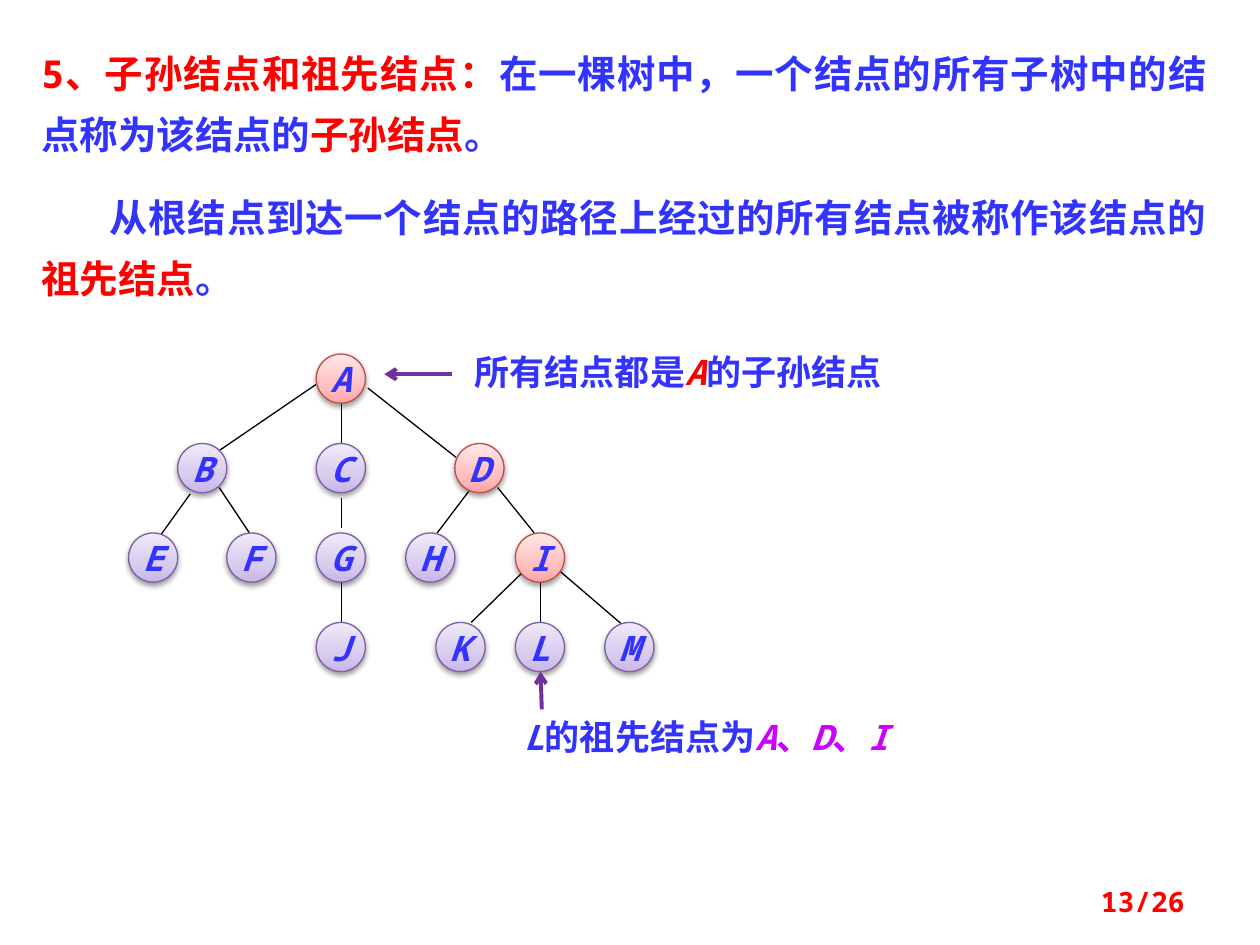
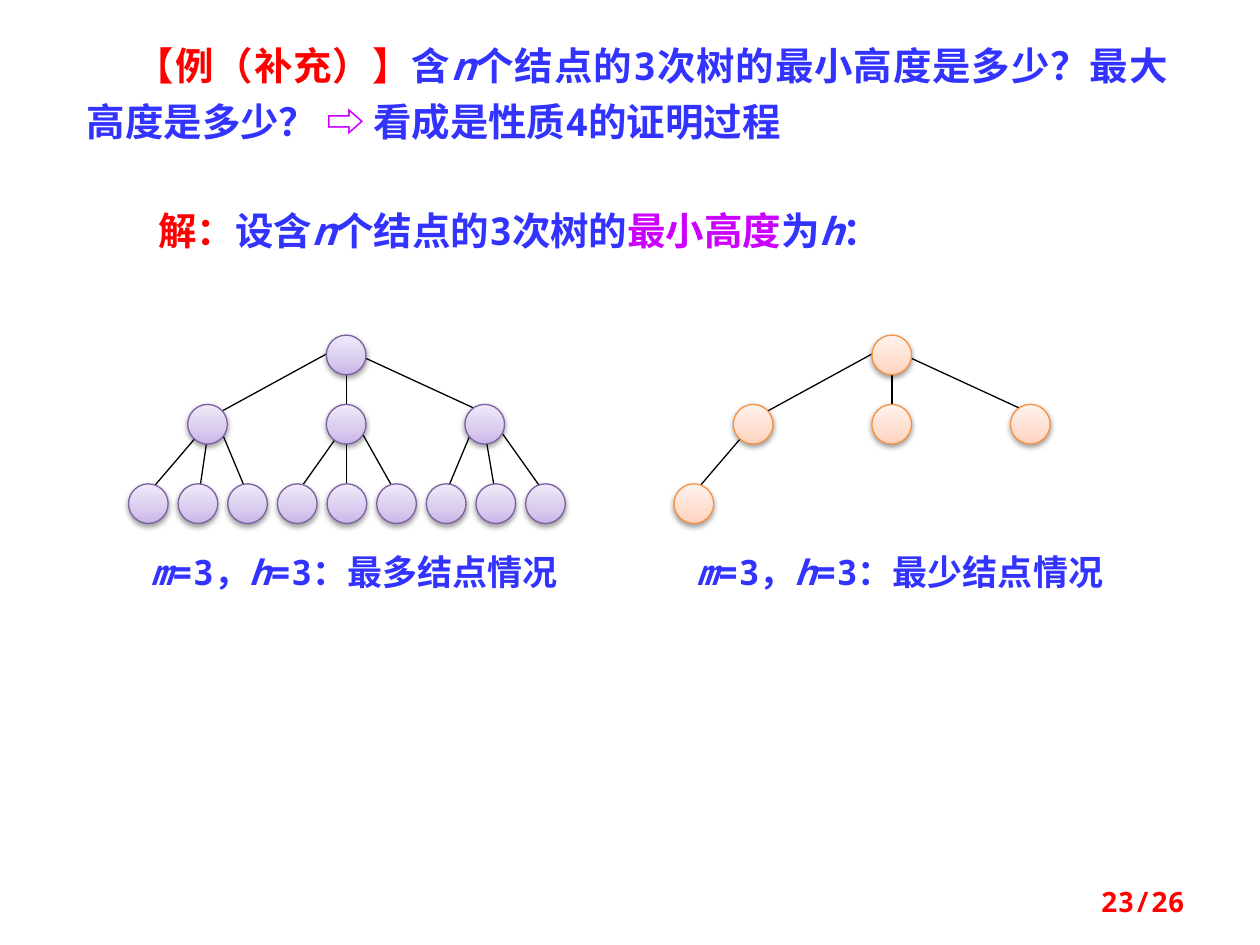
"""Build two slides on tree terms: descendants and ancestors, and the height of 3-ary trees."""
import pptx
import pptx.dml.color
import pptx.enum.shapes
import pptx.enum.text
import pptx.oxml
import pptx.oxml.ns
import pptx.util

Inches, Pt = pptx.util.Inches, pptx.util.Pt
RGB = pptx.dml.color.RGBColor
Align = pptx.enum.text.PP_ALIGN
Anchor = pptx.enum.text.MSO_ANCHOR
Kind = pptx.enum.shapes.MSO_SHAPE
NS = pptx.oxml.ns.nsdecls("a")

FONT = "Noto Sans Mono"
RED = RGB(0xFF, 0x00, 0x00)
BLUE = RGB(0x33, 0x33, 0xFF)
PINK = RGB(0xCC, 0x00, 0xFF)
PLUM = RGB(0x70, 0x30, 0xA0)
BLACK = RGB(0x00, 0x00, 0x00)
LILAC = (RGB(0x7D, 0x60, 0xA0), "C9B5E8", "D8CBEE", "F0EAF9")
ROSE = (RGB(0xBF, 0x4C, 0x48), "FFA6A5", "FFC0BF", "FFE7E7")
PEACH = (RGB(0xF6, 0x92, 0x40), "FFD2BD", "FFDED0", "FFF2ED")


def write(frame, paras, size, align=Align.LEFT, lead=None, indents=(0, 0)):
    """Fill a text frame; each paragraph is a list of (text, colour, italic) runs."""
    for i, runs in enumerate(paras):
        para = frame.add_paragraph() if i else frame.paragraphs[0]
        para.alignment = align
        if lead:
            para.line_spacing = lead
        if i:
            para.space_before = Pt(12)
        if indents[i]:
            para._p.get_or_add_pPr().set("indent", str(Inches(indents[i])))
        para.font.name = FONT
        para.font.size = Pt(size)
        para.font.bold = True
        for text, color, slant in runs:
            run = para.add_run()
            run.text = text
            run.font.color.rgb = color
            run.font.italic = slant


def link(slide, ends, color=BLACK, width=0.75, arrow=False):
    """Draw a straight line between two points, with an arrowhead if asked."""
    line = slide.shapes.add_connector(
        pptx.enum.shapes.MSO_CONNECTOR.STRAIGHT, *[Inches(v) for v in ends])
    line.line.color.rgb = color
    line.line.width = Pt(width)
    if arrow:
        line.line._get_or_add_ln().append(
            pptx.oxml.parse_xml(f'<a:tailEnd {NS} type="arrow"/>'))
    line._element.spPr.append(pptx.oxml.parse_xml(f"<a:effectLst {NS}/>"))


deck = pptx.Presentation()
deck.slide_width, deck.slide_height = Inches(10), Inches(7.5)
kin = deck.slides.add_slide(deck.slide_layouts[6])
high = deck.slides.add_slide(deck.slide_layouts[6])

kin_edges = [
    (2.51, 3.05, 1.72, 3.59), (2.71, 3.21, 2.71, 3.52), (2.92, 3.08, 3.62, 3.63),
    (1.51, 3.92, 1.28, 4.24), (1.74, 3.87, 1.98, 4.23), (2.71, 3.95, 2.71, 4.19),
    (3.72, 3.9, 3.47, 4.23), (3.95, 3.87, 4.24, 4.23), (2.71, 4.62, 2.71, 4.94),
    (4.14, 4.55, 3.74, 4.94), (4.29, 4.62, 4.29, 4.94), (4.44, 4.53, 4.93, 4.95)]
for ends in kin_edges:
    link(kin, ends)

rows = [
    [("A", 2.51)],
    [("B", 1.41), ("C", 2.51), ("D", 3.61)],
    [("E", 1.02), ("F", 1.8), ("G", 2.51), ("H", 3.22), ("I", 4.09)],
    [("J", 2.51), ("K", 3.46), ("L", 4.09), ("M", 4.8)]]
nodes = [(kin, name, x, 2.81 + 0.71 * level, 0.39, ROSE if name in "ADI" else LILAC)
         for level, row in enumerate(rows) for name, x in row]

high_edges = [
    (2.59, 2.81, 1.73, 3.28), (2.75, 2.89, 2.75, 3.28), (2.83, 2.81, 3.85, 3.28),
    (1.65, 3.36, 1.18, 3.91), (1.65, 3.44, 1.57, 3.99), (1.73, 3.36, 1.96, 3.91),
    (2.75, 3.36, 2.36, 3.91), (2.75, 3.44, 2.75, 3.84), (2.83, 3.36, 3.14, 3.91),
    (3.77, 3.36, 3.54, 3.91), (3.85, 3.44, 3.93, 3.91), (3.93, 3.36, 4.32, 3.91)]
spots = [(2.59, 2.66)]
spots += [(1.49 + 1.1 * i, 3.21) for i in range(3)]
spots += [(1.02 + 0.394 * i, 3.84) for i in range(9)]
for shift, tint, count in ((0, LILAC, 13), (4.33, PEACH, 5)):
    for x1, y1, x2, y2 in high_edges[:count - 1]:
        link(high, (x1 + shift, y1, x2 + shift, y2))
    nodes += [(high, "", x + shift, y, 0.315, tint) for x, y in spots[:count]]

for slide, name, x, y, size, (edge, *tones) in nodes:
    node = slide.shapes.add_shape(
        Kind.OVAL, Inches(x), Inches(y), Inches(size), Inches(size))
    node.line.color.rgb = edge
    node.line.width = Pt(0.75)
    stops = "".join(f'<a:gs pos="{pos}"><a:srgbClr val="{tone}"/></a:gs>'
                    for pos, tone in zip((0, 35000, 100000), tones))
    node._element.spPr.find(pptx.oxml.ns.qn("a:ln")).addprevious(pptx.oxml.parse_xml(
        f'<a:gradFill {NS} rotWithShape="1"><a:gsLst>{stops}</a:gsLst>'
        '<a:lin ang="16200000" scaled="1"/></a:gradFill>'))
    node._element.spPr.append(pptx.oxml.parse_xml(
        f'<a:effectLst {NS}><a:outerShdw blurRad="40000" dist="20000" dir="5400000" '
        'rotWithShape="0"><a:srgbClr val="000000"><a:alpha val="38000"/></a:srgbClr>'
        '</a:outerShdw></a:effectLst>'))
    if name:
        node.text_frame.word_wrap = False
        node.text_frame.vertical_anchor = Anchor.MIDDLE
        write(node.text_frame, [[(name, BLUE, True)]], 20, Align.CENTER)

link(kin, (3.59, 2.97, 3.05, 2.97), PLUM, 2.25, True)
link(kin, (4.3, 5.63, 4.29, 5.33), PLUM, 2.25, True)

terms = [
    [("5、子孙结点和祖先结点：", RED, False),
     ("在一棵树中，一个结点的所有子树中的结点称为该结点的", BLUE, False),
     ("子孙结点", RED, False), ("。", BLUE, False)],
    [("从根结点到达一个结点的路径上经过的所有结点被称作该结点的", BLUE, False),
     ("祖先结点", RED, False), ("。", BLUE, False)]]
below = [[("所有结点都是", BLUE, False), ("A", RED, True), ("的子孙结点", BLUE, False)]]
above = [[("L", BLUE, True), ("的祖先结点为", BLUE, False), ("A", PINK, True),
          ("、", PINK, False), ("D", PINK, True), ("、", PINK, False), ("I", PINK, True)]]
task = [[("【例（补充）】", RED, False), ("含", BLUE, False), ("n", BLUE, True),
         ("个结点的3次树的最小高度是多少？最大高度是多少？ ", BLUE, False),
         ("⇨ ", PINK, False), ("看成是性质4的证明过程", BLUE, False)]]
solve = [[("解：", RED, False), ("设含", BLUE, False), ("n", BLUE, True),
          ("个结点的3次树的", BLUE, False), ("最小高度", PINK, False),
          ("为", BLUE, False), ("h", BLUE, True), ("：", BLUE, False)]]
most, least = [[[("m", BLUE, True), ("=3，", BLUE, False), ("h", BLUE, True),
                 (f"=3：最{word}结点情况", BLUE, False)]] for word in "多少"]

full = Align.JUSTIFY
blocks = [
    (kin, (0.23, 0.23, 9.45, 2.27), terms, 22, full, Pt(35), (0, 0.54)),
    (kin, (3.67, 2.73, 3.67, 0.44), below, 20),
    (kin, (4.06, 5.63, 3.67, 0.44), above, 20),
    (high, (0.59, 0.21, 8.78, 0.99), task, 22, full, Pt(32), (0.39,)),
    (high, (0.78, 1.56, 7.15, 0.51), solve, 22, full, 1.1, (0.38,)),
    (high, (1.1, 4.32, 3.7, 0.44), most, 20),
    (high, (5.43, 4.32, 3.7, 0.44), least, 20)]
blocks += [(slide, (7.17, 6.95, 2.33, 0.4), [[(page, RED, False)]], 16, Align.RIGHT)
           for slide, page in ((kin, "13/26"), (high, "23/26"))]
for slide, place, paras, *style in blocks:
    frame = slide.shapes.add_textbox(*[Inches(v) for v in place]).text_frame
    frame.word_wrap = True
    if style[0] == 16:
        frame.vertical_anchor = Anchor.MIDDLE
    write(frame, paras, *style)

deck.save("out.pptx")
